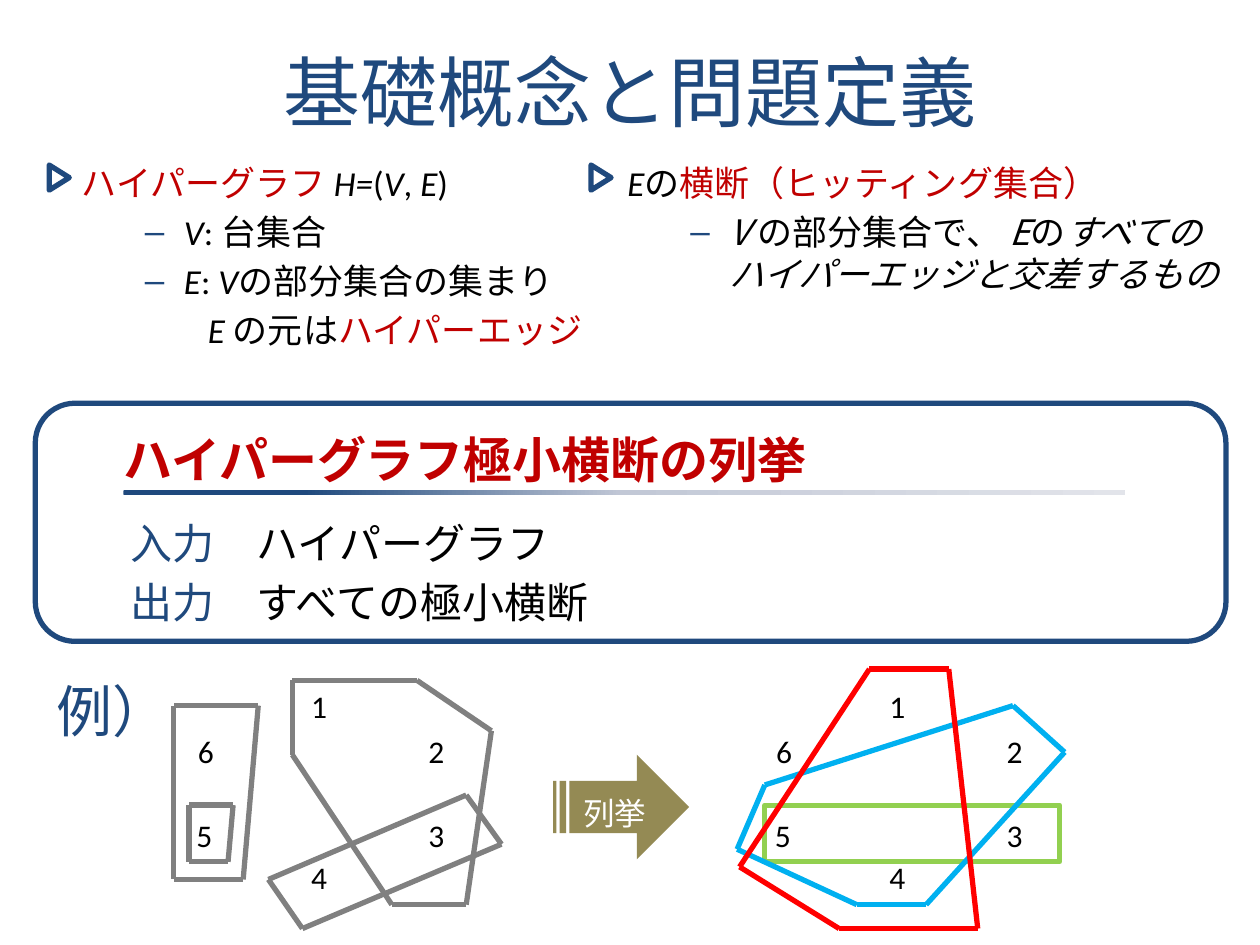
from itertools import pairwise
from lxml.etree import SubElement
from pptx import Presentation
from pptx.dml.color import RGBColor
from pptx.enum.shapes import MSO_CONNECTOR, MSO_SHAPE
from pptx.enum.text import MSO_ANCHOR, MSO_AUTO_SIZE, PP_ALIGN
from pptx.oxml.ns import qn
from pptx.util import Inches, Pt


class Theme:
    navy, red, black, white = "1F497D", "C00000", "000000", "FFFFFF"
    gray, blue, scarlet, green, olive = "808080", "00B0F0", "FF0000", "92D050", "948A54"
    fade = [(18, "1F497D"), (50, "C2C8D6"), (100, "E2E4EA")]
    latin, asian = "Calibri", "Noto Sans CJK JP"
    title, big, head, text, body, label = 44, 32, 28, 24, 20, 18
    stroke = 3


T = Theme
TITLE = "基礎概念と問題定義"

# A paragraph is (level, runs); a run is (text, marks):
# i italic, b bold, r red, n navy, w white, a Asian font for Latin letters too
LEFT = [
    (0, [("ハイパーグラフ ", "r"), ("H=", "i"), ("(", ""), ("V", "i"), (",", ""),
         (" E", "i"), (")", "")]),
    (1, [("V", "i"), (": 台集合", "")]),
    (1, [("E", "i"), (": ", ""), ("V", "i"), ("の部分集合の集まり", "")]),
    (2, [("E ", "i"), ("の元は", ""), ("ハイパーエッジ", "r")]),
]
RIGHT = [
    (0, [("E", "i"), ("の", ""), ("横断（ヒッティング集合）", "r")]),
    (1, [("V ", "ia"), ("の部分集合で、", "a"), (" E", "ia"), ("の", "a"),
         ("すべての\nハイパーエッジと交差するもの", "ia")]),
]
HEAD = [(0, [("ハイパーグラフ極小横断の列挙", "rb")])]
TASK = [
    (0, [("入力　", "na"), ("ハイパーグラフ", "a")]),
    (0, [("出力　", "na"), ("すべての極小横断", "a")]),
]
INDENT = [(0.38, -0.38), (0.81, -0.31), (1.25, -0.25)]

NODES = {"1": (2.47, 5.4), "2": (3.4, 5.76), "3": (3.4, 6.43),
         "4": (2.47, 6.76), "5": (1.56, 6.43), "6": (1.57, 5.76)}
SHIFT = 4.59
EDGES = [
    (T.gray, [(2.13, 6.98), (3.7, 6.31), (3.98, 6.7), (2.4, 7.37)]),
    (T.gray, [(2.32, 5.4), (3.31, 5.4), (3.9, 5.8), (3.7, 7.18), (3.11, 7.18), (2.32, 5.99)]),
    (T.gray, [(1.38, 5.6), (1.38, 6.98), (1.93, 6.98), (2.05, 5.6)]),
    (T.gray, [(1.5, 6.39), (1.5, 6.84), (1.81, 6.84), (1.85, 6.39)]),
    (T.blue, [(5.85, 6.74), (6.8, 7.18), (7.35, 7.18), (8.45, 5.97), (8.04, 5.6), (6.07, 6.23)]),
    (T.scarlet, [(7.53, 5.31), (6.9, 5.31), (5.87, 6.88), (6.66, 7.37), (7.76, 7.37)]),
]

deck = Presentation()
deck.slide_width, deck.slide_height = Inches(10), Inches(7.5)
slide = deck.slides.add_slide(deck.slide_layouts[3])
shapes = slide.shapes


def color(code):
    return RGBColor.from_string(code)


def place(shape, box):
    shape.left, shape.top, shape.width, shape.height = map(Inches, box)


def style(run, size, marks):
    font = run.font
    font.size = Pt(size)
    font.name = T.asian if "a" in marks else T.latin
    font.italic, font.bold = "i" in marks, "b" in marks
    tone = {"r": T.red, "n": T.navy, "w": T.white}
    font.color.rgb = color(next((tone[m] for m in marks if m in tone), T.black))
    east = SubElement(run._r.get_or_add_rPr(), qn("a:ea"))
    east.set("typeface", T.asian)


def bullet(para, level):
    """Set the indent of a list level, with a dash on the second one."""
    props = para._p.get_or_add_pPr()
    for key, value in zip(("marL", "indent"), INDENT[level]):
        props.set(key, str(Inches(value)))
    if level == 1:
        tint = SubElement(SubElement(props, qn("a:buClr")), qn("a:srgbClr"))
        tint.set("val", T.navy)
        SubElement(props, qn("a:buChar")).set("char", "–")
    else:
        SubElement(props, qn("a:buNone"))


def write(frame, paras, size, listed=True):
    frame.auto_size = MSO_AUTO_SIZE.NONE
    for k, (level, runs) in enumerate(paras):
        para = frame.add_paragraph() if k else frame.paragraphs[0]
        para.level = level
        if listed:
            bullet(para, level)
        para.line_spacing = Pt(1.2 * size)
        para.space_before = Pt(0.2 * size if k else 0)
        for text, marks in runs:
            for n, part in enumerate(text.split("\n")):
                if n:
                    para.add_line_break()
                run = para.add_run()
                run.text = part
                style(run, size, marks)


def note(box, paras, size, wrap=True, listed=True, pad=True):
    frame = shapes.add_textbox(*map(Inches, box)).text_frame
    frame.word_wrap = wrap
    if not pad:
        frame.margin_left = frame.margin_right = frame.margin_top = frame.margin_bottom = 0
    write(frame, paras, size, listed)


def draw(kind, box, fill=None, line=None):
    shape = shapes.add_shape(kind, *map(Inches, box))
    shape.shadow.inherit = False
    if fill:
        shape.fill.solid()
        shape.fill.fore_color.rgb = color(fill)
    else:
        shape.fill.background()
    if line:
        shape.line.color.rgb = color(line)
        shape.line.width = Pt(T.stroke)
    else:
        shape.line.fill.background()
    return shape


def loop(points, tone):
    """Join the points by straight lines, back to the first one."""
    for start, end in pairwise(points + points[:1]):
        edge = shapes.add_connector(MSO_CONNECTOR.STRAIGHT, *map(Inches, start + end))
        edge.line.color.rgb = color(tone)
        edge.line.width = Pt(T.stroke)
        SubElement(edge._element.spPr, qn("a:effectLst"))


def blend(shape, stops):
    shape.fill.gradient()
    shape.fill.gradient_angle = 0
    group = shape._element.spPr.find(qn("a:gradFill")).find(qn("a:gsLst"))
    for old in list(group):
        group.remove(old)
    for share, tone in stops:
        stop = SubElement(group, qn("a:gs"), pos=str(share * 1000))
        SubElement(stop, qn("a:srgbClr"), val=tone)


# Title and the two lists
title, left, right = slide.placeholders
place(title, (0, -0.03, 10, 1.5))
title.text_frame.text = TITLE
title.text_frame.vertical_anchor = MSO_ANCHOR.MIDDLE
title.text_frame.paragraphs[0].alignment = PP_ALIGN.CENTER
style(title.text_frame.paragraphs[0].runs[0], T.title, "na")
for holder, box, paras, mark in [(left, (0.55, 1.23, 4.22, 1.9), LEFT, 0.37),
                                 (right, (4.88, 1.23, 5.04, 1.46), RIGHT, 4.67)]:
    place(holder, box)
    write(holder.text_frame, paras, T.body)
    draw(MSO_SHAPE.ISOSCELES_TRIANGLE, (mark, 1.33, 0.2, 0.16), T.white, T.navy).rotation = 90

# Problem panel
draw(MSO_SHAPE.ROUNDED_RECTANGLE, (0.28, 3.2, 9.45, 1.89), T.white, T.navy)
note((0.88, 3.36, 8.74, 0.87), HEAD, T.head)
blend(draw(MSO_SHAPE.ROUNDED_RECTANGLE, (0.98, 3.89, 7.95, 0.04)), T.fade)
note((0.94, 4.06, 3.9, 0.99), TASK, T.text, wrap=False)

# Example
note((0.35, 5.32, 1.1, 0.64), [(0, [("例）", "n")])], T.big, wrap=False)
for shift in (0, SHIFT):
    for name, (x, y) in NODES.items():
        note((x + shift, y + 0.05, 0.14, 0.3), [(0, [(name, "")])], T.label,
             wrap=False, listed=False, pad=False)
draw(MSO_SHAPE.RECTANGLE, (6.07, 6.39, 2.34, 0.45), line=T.green)
for tone, points in EDGES:
    loop(points, tone)
draw(MSO_SHAPE.STRIPED_RIGHT_ARROW, (4.39, 5.99, 1.08, 0.83), T.olive)
note((4.53, 6.25, 0.71, 0.4), [(0, [("列挙", "wa")])], T.label, wrap=False, listed=False)

deck.save("out.pptx")
